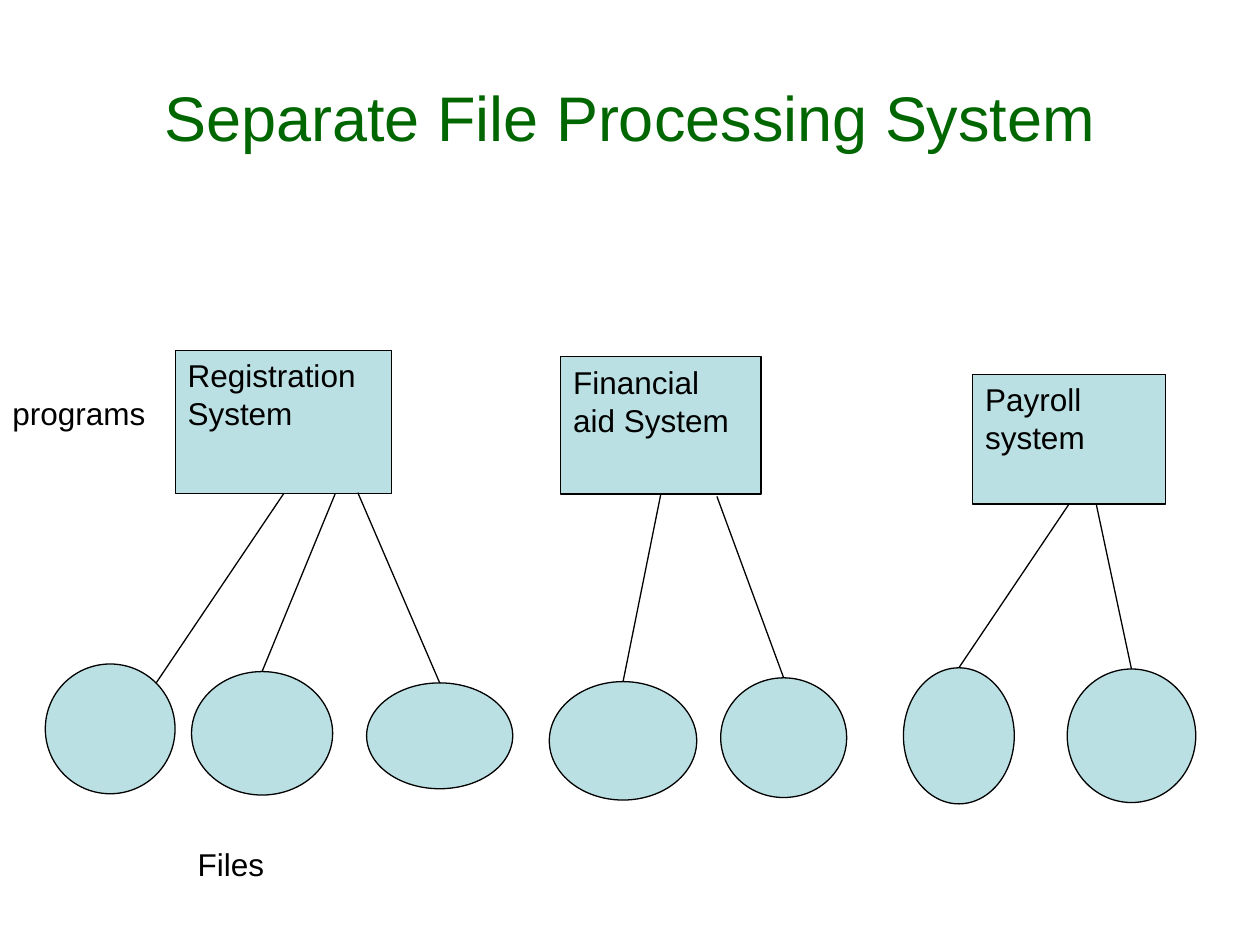
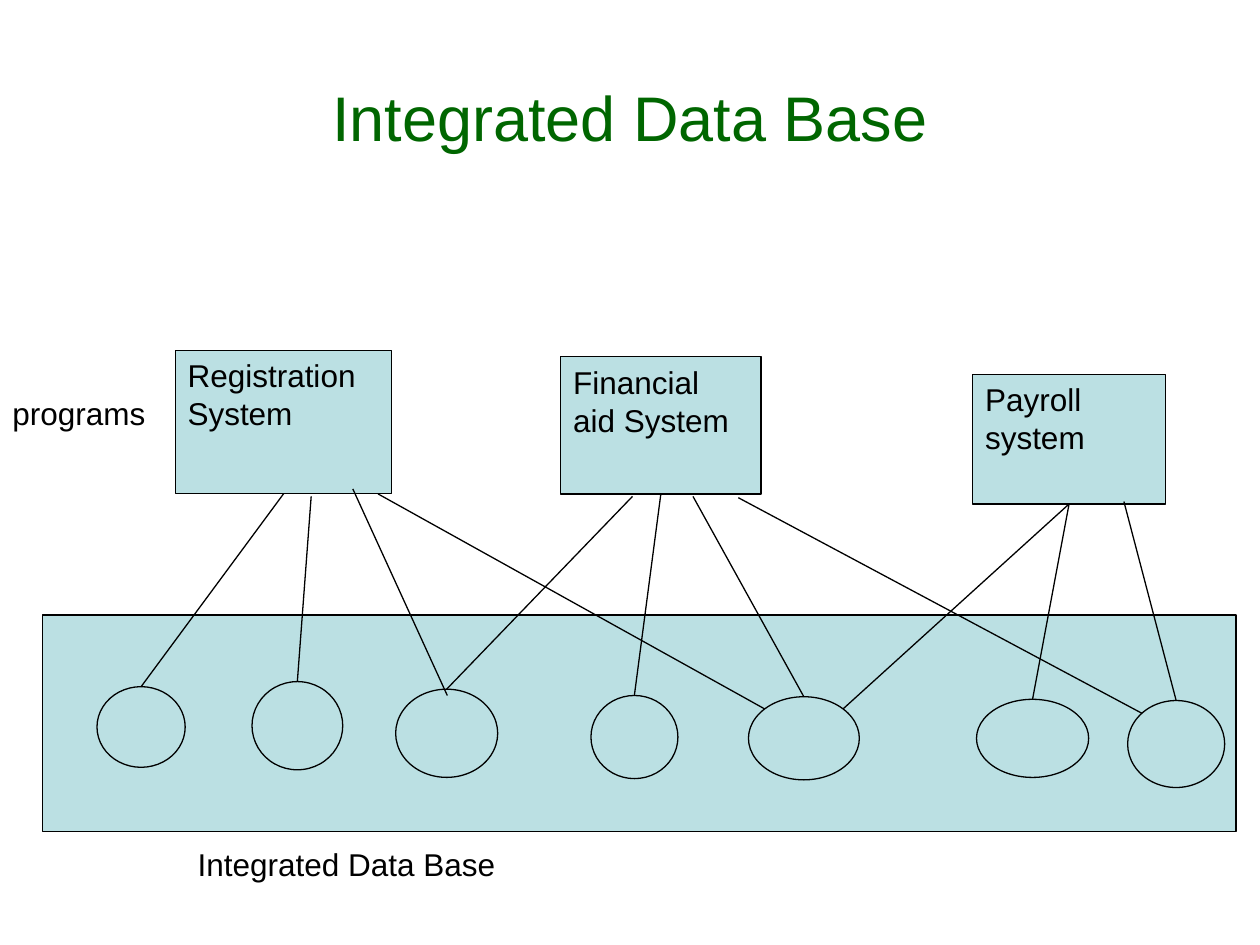
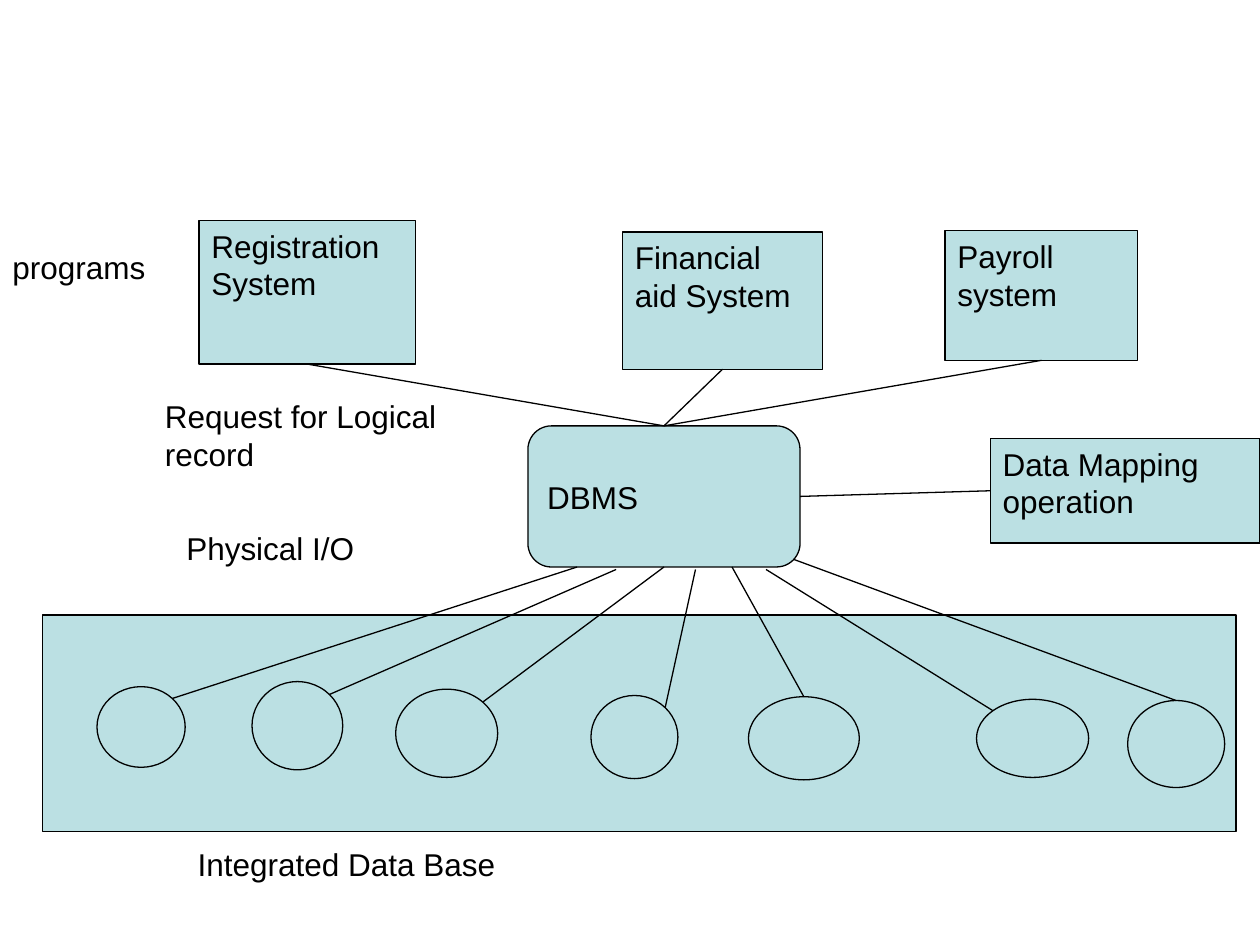
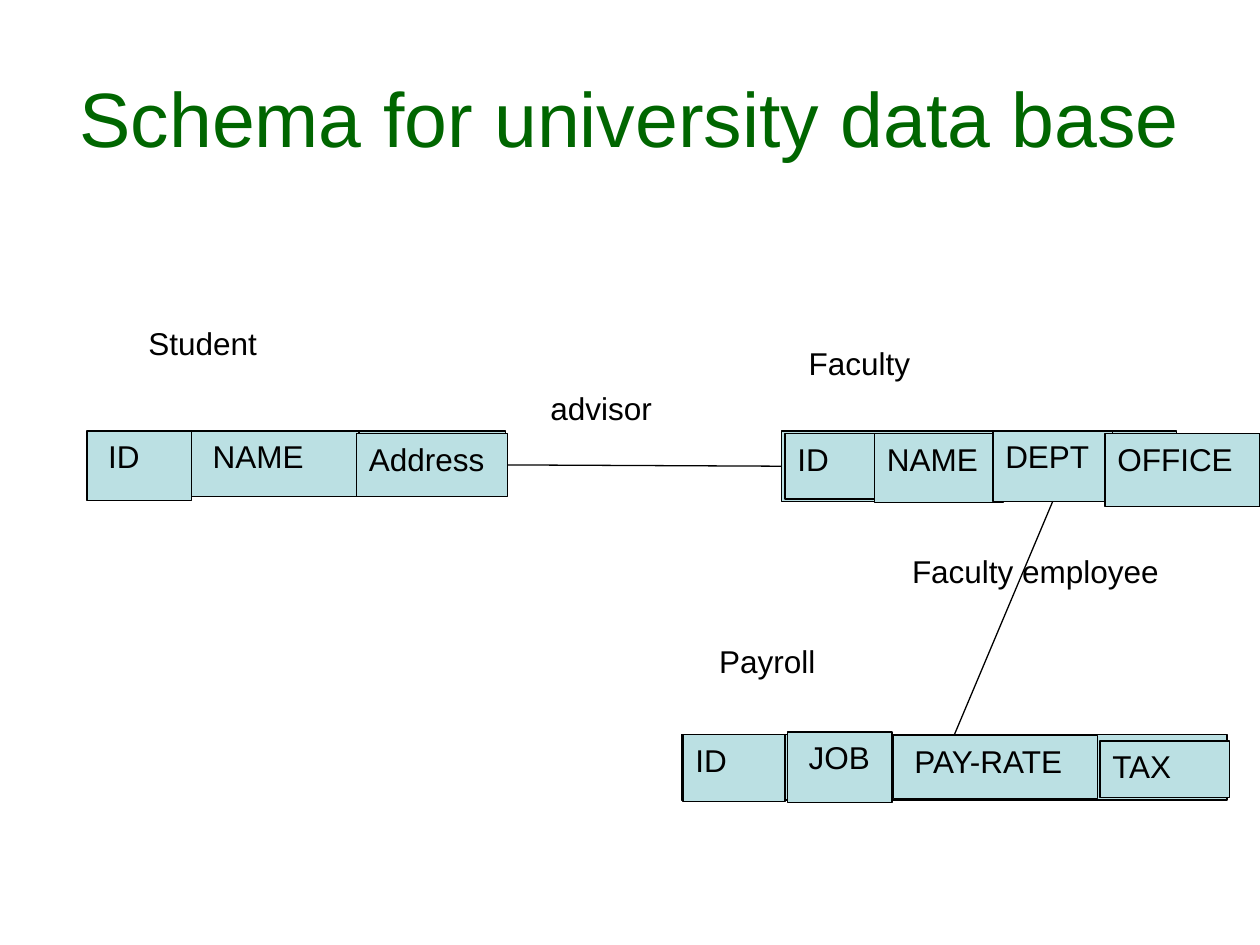
from dataclasses import dataclass

from lxml import etree
from pptx import Presentation
from pptx.dml.color import RGBColor
from pptx.enum.shapes import MSO_CONNECTOR, MSO_SHAPE
from pptx.enum.text import MSO_ANCHOR, PP_ALIGN
from pptx.oxml.ns import qn
from pptx.util import Emu, Pt

RECT, ROUNDED, OVAL = MSO_SHAPE.RECTANGLE, MSO_SHAPE.ROUNDED_RECTANGLE, MSO_SHAPE.OVAL
STRAIGHT = MSO_CONNECTOR.STRAIGHT
TOP, MIDDLE = MSO_ANCHOR.TOP, MSO_ANCHOR.MIDDLE
LEFT, CENTER = PP_ALIGN.LEFT, PP_ALIGN.CENTER

PX = 9144  # 100 px to the inch
SLIDE_SIZE = (1000, 750)
TITLE_AREA = (50, 30, 900, 125)


@dataclass(frozen=True)
class Theme:
    font: str = "Arial"
    title: RGBColor = RGBColor(0x00, 0x66, 0x00)
    ink: RGBColor = RGBColor(0x00, 0x00, 0x00)
    fill: RGBColor = RGBColor(0xBB, 0xE0, 0xE3)
    title_size: int = 36
    large_title_size: int = 44
    body_size: int = 18
    line_width: float = 0.75


THEME = Theme()

# Where a link may meet a part, as fractions of its width and height
DIAGONAL = 0.146
SITES = {"top": (0.5, 0), "left": (0, 0.5), "bottom": (0.5, 1), "right": (1, 0.5),
         "nw": (DIAGONAL, DIAGONAL), "ne": (1 - DIAGONAL, DIAGONAL)}
GLUE = {"top": 0, "left": 1, "bottom": 2, "right": 3}

# Content shared by the system diagrams
REGISTRATION, AID, PAYROLL = "Registration System", "Financial aid System", "Payroll system"
DBMS, MAPPING = "DBMS", "Data Mapping operation"
PROGRAM_SIZES = {REGISTRATION: (172, 114), AID: (159, 109), PAYROLL: (153, 103)}
UPPER_ROW = {REGISTRATION: (139, 278), AID: (445, 283), PAYROLL: (772, 297)}
DBMS_ROW = {REGISTRATION: (158, 175), AID: (494, 184), PAYROLL: (750, 183)}

SEPARATE_FILES = [(36, 527, 103, 103), (152, 533, 112, 98), (291, 542, 116, 84),
                  (436, 541, 117, 94), (572, 538, 100, 95), (717, 530, 88, 108),
                  (847, 531, 102, 106)]
DATABASE = (34, 488, 947, 172)
DATABASE_FILES = [(77, 545, 70, 64), (200, 541, 72, 70), (314, 547, 81, 70),
                  (469, 552, 69, 66), (594, 553, 88, 66), (775, 555, 89, 62),
                  (895, 556, 77, 69)]
DATABASE_LABEL = ("Integrated Data Base", (147, 666, 425, 40))

# A link end is a point (x, y) or a part and its site; a file is known by its index
DIAGRAMS = [
    {
        "title": "Separate File Processing System",
        "programs": UPPER_ROW,
        "files": SEPARATE_FILES,
        "labels": [("programs", (0, 308, 139, 40)), ("Files", (147, 666, 131, 40))],
        "links": [
            ((REGISTRATION, "bottom"), (0, "ne")),
            ((266, 392), (1, "top")),
            ((284, 391), (2, "top")),
            ((AID, "bottom"), (3, "top")),
            ((569, 394), (4, "top")),
            ((PAYROLL, "bottom"), (5, "top")),
            ((870, 400), (6, "top")),
        ],
    },
    {
        "title": "Integrated Data Base",
        "programs": UPPER_ROW,
        "database": DATABASE,
        "files": DATABASE_FILES,
        "labels": [("programs", (0, 308, 139, 40)), DATABASE_LABEL],
        "links": [
            ((REGISTRATION, "bottom"), (0, "top")),
            ((247, 394), (1, "top")),
            ((280, 388), (355, 552)),
            ((AID, "bottom"), (3, "top")),
            ((550, 394), (4, "top")),
            ((PAYROLL, "bottom"), (5, "top")),
            ((892, 398), (6, "top")),
            ((300, 392), (4, "nw")),
            ((502, 394), (2, "top")),
            ((PAYROLL, "bottom"), (4, "ne")),
            ((586, 395), (6, "nw")),
        ],
    },
    {
        "programs": DBMS_ROW,
        "database": DATABASE,
        "files": DATABASE_FILES,
        "manager": (419, 338, 216, 112),
        "mapping": (786, 348, 214, 83),
        "labels": [("programs", (0, 192, 139, 40)), DATABASE_LABEL,
                   ("Request for Logical record", (121, 310, 268, 71)),
                   ("Physical I/O", (138, 415, 268, 40))],
        "links": [
            ((REGISTRATION, "bottom"), (DBMS, "top")),
            ((AID, "bottom"), (DBMS, "top")),
            ((PAYROLL, "bottom"), (DBMS, "top")),
            ((458, 450), (0, "ne")),
            ((489, 452), (1, "ne")),
            ((DBMS, "bottom"), (2, "ne")),
            ((552, 452), (3, "ne")),
            ((581, 450), (4, "top")),
            ((608, 452), (5, "nw")),
            ((630, 444), (6, "top")),
            ((DBMS, "right"), (MAPPING, "left")),
        ],
    },
]

# Schema: each record has a label, a backing bar and its fields
SCHEMA_TITLE = "Schema for university data base"
RECORDS = {
    "Student": ((108, 252, 198, 40), (70, 342, 331, 52), [
        (" ID", (69, 342, 83, 55)), (" NAME", (152, 342, 133, 52)),
        ("Address", (283, 344, 120, 50))]),
    "Faculty": ((632, 268, 198, 40), (620, 342, 314, 56), [
        ("ID", (623, 344, 73, 52)), ("NAME", (694, 344, 102, 55)),
        ("DEPT", (788, 342, 95, 56)), ("OFFICE", (877, 344, 123, 58))]),
    "Payroll": ((561, 505, 198, 40), (541, 583, 433, 52), [
        ("ID", (542, 583, 81, 53)), (" JOB", (625, 581, 83, 56)),
        (" PAY-RATE", (709, 584, 162, 50)), ("TAX", (873, 588, 103, 45))]),
}
RELATIONS = [
    ("advisor", (427, 304, 185, 40), ("Address", "right"), ("Faculty", "left")),
    ("Faculty employee", (714, 433, 247, 40), ("DEPT", "bottom"), ("Payroll", "top")),
]


def emu(lengths):
    return [Emu(round(length * PX)) for length in lengths]


def write(holder, text, size=THEME.body_size, color=THEME.ink, align=LEFT, anchor=TOP):
    frame = holder.text_frame
    frame.word_wrap = True
    frame.vertical_anchor = anchor
    paragraph = frame.paragraphs[0]
    paragraph.alignment = align
    run = paragraph.add_run()
    run.text = text
    run.font.name = THEME.font
    run.font.size = Pt(size)
    run.font.color.rgb = color


def add_label(slide, text, area, **style):
    write(slide.shapes.add_textbox(*emu(area)), text, **style)


def add_title(slide, text, size=THEME.title_size):
    add_label(slide, text, TITLE_AREA, size=size, color=THEME.title,
              align=CENTER, anchor=MIDDLE)


def outline(line):
    line.color.rgb = THEME.ink
    line.width = Pt(THEME.line_width)


def add_part(slide, preset, area, text=None, anchor=TOP):
    part = slide.shapes.add_shape(preset, *emu(area))
    part.shadow.inherit = False
    part.fill.solid()
    part.fill.fore_color.rgb = THEME.fill
    outline(part.line)
    if text:
        write(part, text, anchor=anchor)
    return part


def locate(end, parts):
    """Return the position of a link end in EMU."""
    if end[1] not in SITES:
        return emu(end)
    part, (across, down) = parts[end[0]], SITES[end[1]]
    return [Emu(round(part.left + part.width * across)),
            Emu(round(part.top + part.height * down))]


def add_link(slide, start, finish, parts):
    link = slide.shapes.add_connector(STRAIGHT, *locate(start, parts), *locate(finish, parts))
    for (key, site), join in ((start, link.begin_connect), (finish, link.end_connect)):
        if site in GLUE:
            join(parts[key], GLUE[site])
    outline(link.line)
    etree.SubElement(link._element.spPr, qn("a:effectLst"))


def build_diagram(slide, diagram):
    if "title" in diagram:
        add_title(slide, diagram["title"])
    parts = {}
    # Programs
    for program, corner in diagram["programs"].items():
        parts[program] = add_part(slide, RECT, corner + PROGRAM_SIZES[program], program)
    # Database and its files
    if "database" in diagram:
        add_part(slide, RECT, diagram["database"])
    for index, area in enumerate(diagram["files"]):
        parts[index] = add_part(slide, OVAL, area)
    # Database manager and data mapping
    if "manager" in diagram:
        parts[DBMS] = add_part(slide, ROUNDED, diagram["manager"], DBMS, MIDDLE)
        parts[MAPPING] = add_part(slide, RECT, diagram["mapping"], MAPPING)
    # Links and labels
    for start, finish in diagram["links"]:
        add_link(slide, start, finish, parts)
    for text, area in diagram["labels"]:
        add_label(slide, text, area)


def build_schema(slide):
    add_title(slide, SCHEMA_TITLE, THEME.large_title_size)
    parts = {}
    # Records with their fields
    for record, (label_area, bar_area, fields) in RECORDS.items():
        add_label(slide, record, label_area)
        parts[record] = add_part(slide, RECT, bar_area)
        for field, area in fields:
            parts[field] = add_part(slide, RECT, area, field)
    # Relations between records
    for relation, area, start, finish in RELATIONS:
        add_link(slide, start, finish, parts)
        add_label(slide, relation, area)


def main():
    deck = Presentation()
    deck.slide_width, deck.slide_height = emu(SLIDE_SIZE)
    blank = deck.slide_layouts[6]
    for diagram in DIAGRAMS:
        build_diagram(deck.slides.add_slide(blank), diagram)
    build_schema(deck.slides.add_slide(blank))
    deck.save("out.pptx")


if __name__ == "__main__":
    main()
